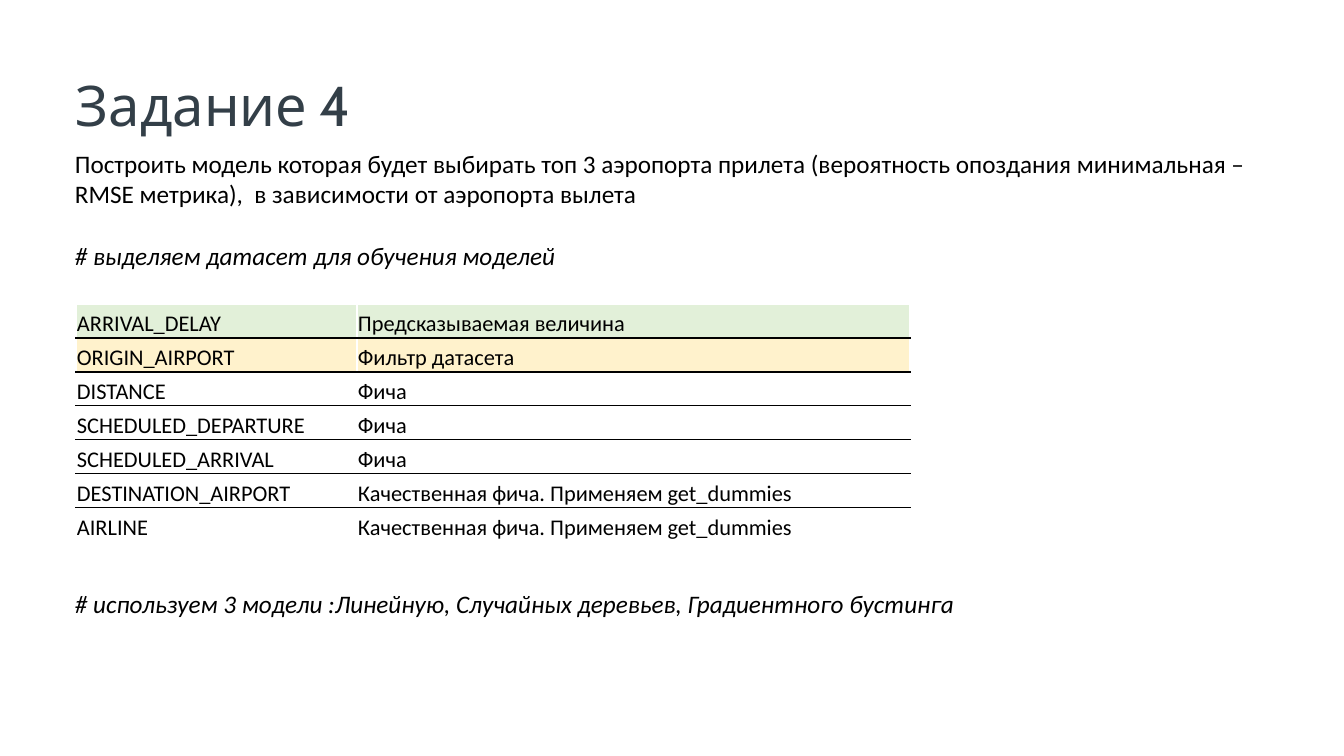
"""Build the slide for task 4: choosing arrival airports and the dataset features."""
from dataclasses import dataclass

from lxml.etree import SubElement
from pptx import Presentation
from pptx.dml.color import RGBColor as Rgb
from pptx.enum.text import MSO_ANCHOR as Anchor, MSO_AUTO_SIZE as AutoSize, PP_ALIGN as Align
from pptx.oxml.ns import qn
from pptx.util import Pt

HEADING = "Задание 4"
HEADING_BOX = (76, 71, 1192, 214)

STATEMENTS = [
    ("Построить модель которая будет выбирать топ 3 аэропорта прилета (вероятность опоздания "
     "минимальная – RMSE метрика),  в зависимости от аэропорта вылета", (65, 143, 1241, 72), False),
    ("# выделяем датасет для обучения моделей", (65, 235, 968, 40), True),
    ("# используем 3 модели :Линейную, Случайных деревьев, Градиентного бустинга",
     (65, 583, 968, 40), True),
]

FEATURES = [
    ("ARRIVAL_DELAY", "Предсказываемая величина"),
    ("ORIGIN_AIRPORT", "Фильтр датасета"),
    ("DISTANCE", "Фича"),
    ("SCHEDULED_DEPARTURE", "Фича"),
    ("SCHEDULED_ARRIVAL", "Фича"),
    ("DESTINATION_AIRPORT", "Качественная фича. Применяем get_dummies"),
    ("AIRLINE", "Качественная фича. Применяем get_dummies"),
]
FEATURES_AT = (76, 304)
COLUMN_WIDTHS = (281, 553)
ROW_HEIGHT = 34


@dataclass(frozen=True)
class Theme:
    heading_font: str = "Cabin"
    body_font: str = "Calibri"
    heading: str = "333F48"
    ink: str = "000000"
    paper: str = "FFFFFF"
    target: str = "E2F0D9"
    dataset_filter: str = "FFF2CC"
    heading_size: int = 40
    body_size: int = 18
    table_size: int = 16


THEME = Theme()
ROW_FILLS = {0: THEME.target, 1: THEME.dataset_filter}


def px(length):
    return round(length * 914400 / 100.8)


def write(frame, text, font, size, color, italic=False):
    frame.text = text
    for paragraph in frame.paragraphs:
        paragraph.alignment = Align.LEFT
        for run in paragraph.runs:
            run.font.name = font
            run.font.size = Pt(size)
            run.font.italic = italic
            run.font.color.rgb = Rgb.from_string(color)


def add_heading(slide):
    heading = slide.shapes.title
    heading.left, heading.top, heading.width, heading.height = map(px, HEADING_BOX)
    frame = heading.text_frame
    write(frame, HEADING, THEME.heading_font, THEME.heading_size, THEME.heading)
    frame.auto_size = AutoSize.NONE
    frame.vertical_anchor = Anchor.TOP
    frame.margin_left = frame.margin_right = frame.margin_top = frame.margin_bottom = 0


def add_statement(slide, text, box, italic):
    frame = slide.shapes.add_textbox(*map(px, box)).text_frame
    frame.word_wrap = True
    frame.auto_size = AutoSize.SHAPE_TO_FIT_TEXT
    write(frame, text, THEME.body_font, THEME.body_size, THEME.ink, italic)


def set_borders(cell, top, bottom):
    properties = cell._tc.get_or_add_tcPr()
    sides = {"a:lnL": THEME.paper, "a:lnR": THEME.paper, "a:lnT": top, "a:lnB": bottom}
    for side, color in sides.items():
        line = SubElement(properties, qn(side), w=str(Pt(1)))
        SubElement(SubElement(line, qn("a:solidFill")), qn("a:srgbClr"), val=color)


def add_features(slide):
    size = (sum(COLUMN_WIDTHS), ROW_HEIGHT * len(FEATURES))
    table = slide.shapes.add_table(
        len(FEATURES), len(COLUMN_WIDTHS), *map(px, FEATURES_AT + size)).table
    table.first_row = table.horz_banding = False
    for column, width in zip(table.columns, COLUMN_WIDTHS):
        column.width = px(width)
    last = len(FEATURES) - 1
    for index, feature in enumerate(FEATURES):
        table.rows[index].height = px(ROW_HEIGHT)
        top = THEME.paper if index == 0 else THEME.ink
        bottom = THEME.paper if index == last else THEME.ink
        for cell, text in zip(table.rows[index].cells, feature):
            write(cell.text_frame, text, THEME.body_font, THEME.table_size, THEME.ink)
            cell.vertical_anchor = Anchor.BOTTOM
            cell.margin_left = cell.margin_right = cell.margin_top = px(1)
            cell.margin_bottom = 0
            set_borders(cell, top, bottom)
            if index in ROW_FILLS:
                cell.fill.solid()
                cell.fill.fore_color.rgb = Rgb.from_string(ROW_FILLS[index])
            else:
                cell.fill.background()


def main():
    deck = Presentation()
    deck.slide_width, deck.slide_height = px(1344), px(756)
    slide = deck.slides.add_slide(deck.slide_layouts[5])
    add_heading(slide)
    for statement in STATEMENTS:
        add_statement(slide, *statement)
    add_features(slide)
    deck.save("out.pptx")


if __name__ == "__main__":
    main()
